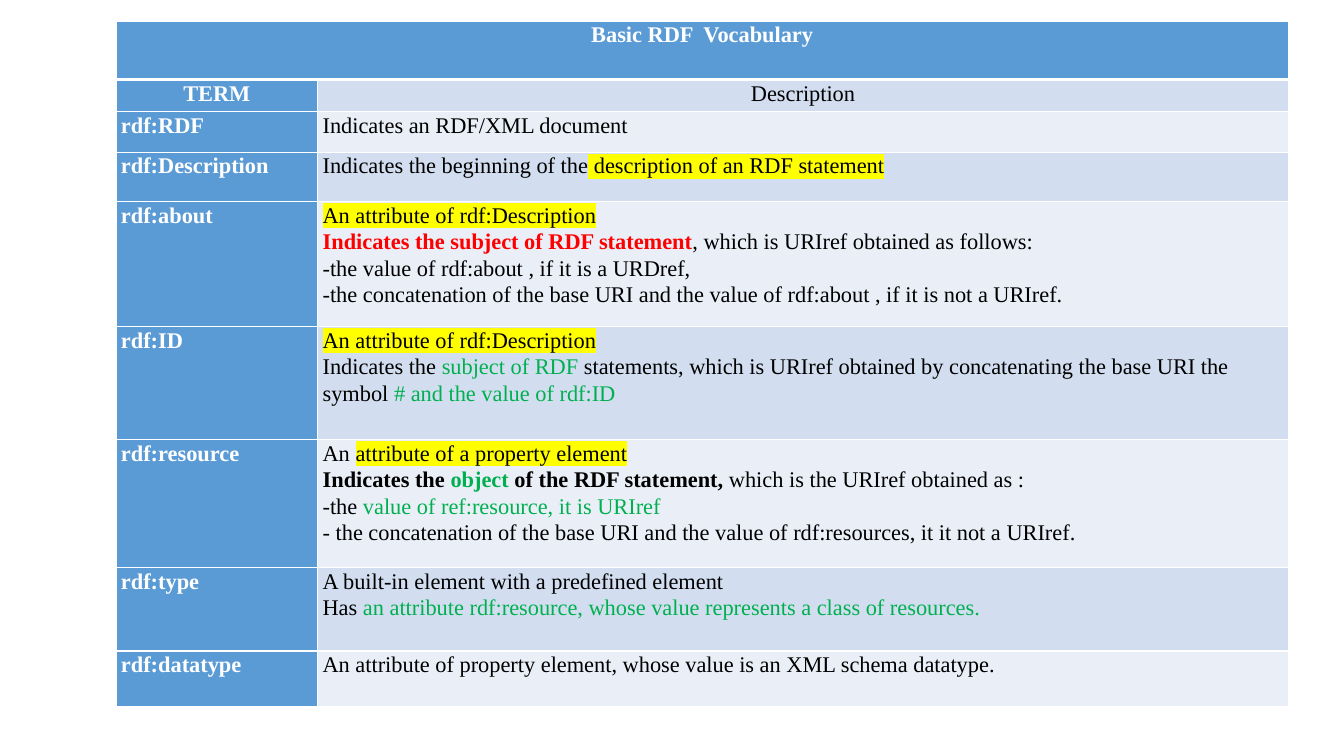
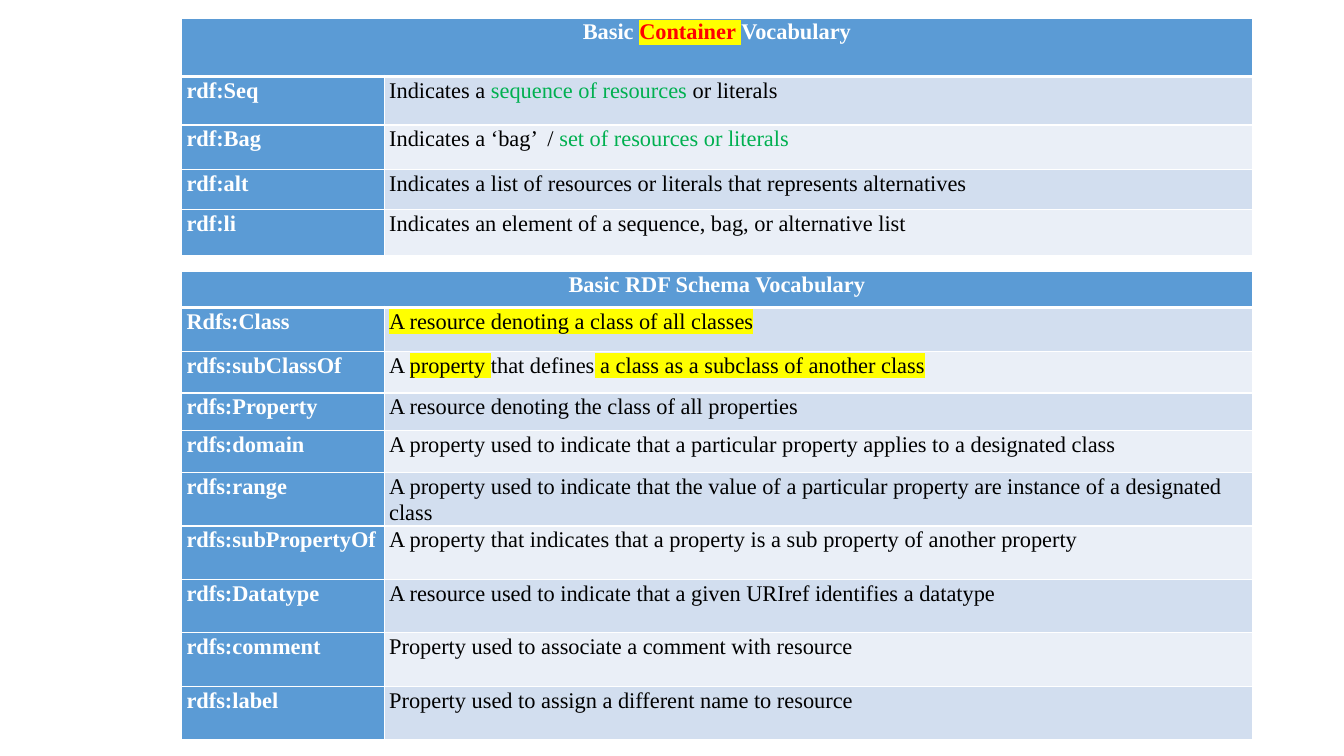
from lxml.etree import SubElement
from pptx import Presentation
from pptx.dml.color import RGBColor
from pptx.enum.text import PP_ALIGN
from pptx.oxml import parse_xml
from pptx.oxml.ns import qn, nsdecls
from pptx.util import Inches, Pt

COLORS = {
    "blue": "5B9BD5", "band": "D2DEEF", "pale": "EAEFF7", "white": "FFFFFF",
    "black": "000000", "red": "FF0000", "green": "00B050", "yellow": "FFFF00",
}
STYLES = {
    "head": ("white", True, None),
    "plain": ("black", False, None),
    "bold": ("black", True, None),
    "mark": ("black", False, "yellow"),
    "green": ("green", False, None),
    "bold green": ("green", True, None),
    "bold red": ("red", True, None),
    "red mark": ("red", True, "yellow"),
}
MARGINS = {"margin_left": Inches(0.05), "margin_right": Inches(0.05),
           "margin_top": 0, "margin_bottom": 0}

TABLES = [
    {
        "slide": 0, "left": 1.15, "top": 0.21, "cols": [2, 9.63], "centred": 2,
        "heights": [0.58, 0.32, 0.4, 0.49, 1.24, 1.12, 1.27, 0.83, 0.55],
        "title": "Basic RDF  Vocabulary",
        "rows": [
            ("TERM", ["Description"]),
            ("rdf:RDF", ["Indicates an RDF/XML document"]),
            ("rdf:Description", [
                [("Indicates the beginning of the", "plain"),
                 (" description of an RDF statement", "mark")]]),
            ("rdf:about", [
                [("An attribute of rdf:Description", "mark")],
                [("Indicates the subject of RDF statement", "bold red"),
                 (", which is URIref obtained as follows:", "plain")],
                "-the value of rdf:about , if it is a URDref,",
                "-the concatenation of the base URI and the value of rdf:about , if it is not a URIref."]),
            ("rdf:ID", [
                [("An attribute of rdf:Description", "mark")],
                [("Indicates the", "plain"), (" subject of RDF", "green"),
                 (" statements, which is URIref obtained by concatenating the base URI the symbol ", "plain"),
                 ("# and the value of rdf:ID", "green")]]),
            ("rdf:resource", [
                [("An ", "plain"), ("attribute of a property element", "mark")],
                [("Indicates the ", "bold"), ("object ", "bold green"),
                 ("of the RDF statement,", "bold"),
                 (" which is the URIref obtained as :", "plain")],
                [("-the ", "plain"), ("value of ref:resource, it is URIref", "green")],
                "- the concatenation of the base URI and the value of rdf:resources, it it not a URIref."]),
            ("rdf:type", [
                "A built-in element with a predefined element",
                [("Has ", "plain"),
                 ("an attribute rdf:resource, whose value represents a class of resources.", "green")]]),
            ("rdf:datatype", [
                "An attribute of property element, whose value is an XML schema datatype."]),
        ],
    },
    {
        "slide": 1, "left": 1.8, "top": 0.18, "cols": [2.01, 8.61], "centred": 1,
        "heights": [0.58, 0.48, 0.44, 0.4, 0.46],
        "title": [("Basic ", "head"), ("Container ", "red mark"), ("Vocabulary", "head")],
        "rows": [
            ("rdf:Seq", [
                [("Indicates a", "plain"), (" sequence of resources", "green"),
                 (" or literals", "plain")]]),
            ("rdf:Bag", [
                [("Indicates a ‘bag’  /", "plain"),
                 (" set of resources or literals", "green")]]),
            ("rdf:alt", ["Indicates a list of resources or literals that represents alternatives"]),
            ("rdf:li", ["Indicates an element of a sequence, bag, or alternative list"]),
        ],
    },
    {
        "slide": 1, "left": 1.8, "top": 2.69, "cols": [2.01, 8.61], "centred": 1,
        "heights": [0.36, 0.44, 0.41, 0.37, 0.42, 0.53, 0.53, 0.53, 0.53, 0.53],
        "title": "Basic RDF Schema Vocabulary",
        "rows": [
            ("Rdfs:Class", [[("A resource denoting a class of all classes", "mark")]]),
            ("rdfs:subClassOf", [
                [("A ", "plain"), ("property ", "mark"), ("that defines", "plain"),
                 (" a class as a subclass of another class", "mark")]]),
            ("rdfs:Property", ["A resource denoting the class of all properties"]),
            ("rdfs:domain", [
                "A property used to indicate that a particular property applies to a designated class"]),
            ("rdfs:range", [
                "A property used to indicate that the value of a particular property are instance of a designated class"]),
            ("rdfs:subPropertyOf", [
                "A property that indicates that a property is a sub property of another property"]),
            ("rdfs:Datatype", ["A resource used to indicate that a given URIref identifies a datatype"]),
            ("rdfs:comment", ["Property used to associate a comment with resource"]),
            ("rdfs:label", ["Property used to assign a different name to resource"]),
        ],
    },
]


def write(tf, paragraphs, base, align):
    for i, runs in enumerate(paragraphs):
        p = tf.add_paragraph() if i else tf.paragraphs[0]
        p.alignment, p.line_spacing = align, 1.07
        for text, style in [(runs, base)] if isinstance(runs, str) else runs:
            color, bold, highlight = STYLES[style]
            r = p.add_run()
            r.text = text
            for name, value in {"name": "Times New Roman", "size": Pt(16), "bold": bold}.items():
                setattr(r.font, name, value)
            r.font.color.rgb = RGBColor.from_string(COLORS[color])
            if highlight:
                mark = parse_xml(f'<a:highlight {nsdecls("a")}><a:srgbClr val="{COLORS[highlight]}"/></a:highlight>')
                r.font._element.find(qn("a:solidFill")).addnext(mark)


def dress(cell, fill, widths):
    for name, value in MARGINS.items():
        setattr(cell, name, value)
    tcPr = cell._tc.get_or_add_tcPr()
    for side, width in zip("LRTB", widths):
        ln = SubElement(tcPr, qn(f"a:ln{side}"), w=str(Pt(width)))
        SubElement(SubElement(ln, qn("a:solidFill")), qn("a:srgbClr"), val=COLORS["white"])
    cell.fill.solid()
    cell.fill.fore_color.rgb = RGBColor.from_string(COLORS[fill])


prs = Presentation()
prs.slide_width, prs.slide_height = Inches(13.33), Inches(7.5)
slides = [prs.slides.add_slide(prs.slide_layouts[6]) for _ in range(2)]

for spec_table in TABLES:
    cols, heights = spec_table["cols"], spec_table["heights"]
    table = slides[spec_table["slide"]].shapes.add_table(
        len(heights), len(cols), Inches(spec_table["left"]), Inches(spec_table["top"]),
        Inches(sum(cols)), Inches(sum(heights))).table
    table.first_col = True
    for column, width in zip(table.columns, cols):
        column.width = Inches(width)
    for row, height in zip(table.rows, heights):
        row.height = Inches(height)

    table.cell(0, 0).merge(table.cell(0, 1))
    for cell in table.rows[0].cells:
        dress(cell, "blue", (1, 1, 1, 3))
    write(table.cell(0, 0).text_frame, [spec_table["title"]], "head", PP_ALIGN.CENTER)

    for n, (term, description) in enumerate(spec_table["rows"], 1):
        align = PP_ALIGN.CENTER if n < spec_table["centred"] else PP_ALIGN.LEFT
        widths = (1, 1, 3 if n == 1 else 1, 1)
        band = "band" if n % 2 else "pale"
        for cell, fill, text, base in zip(
                table.rows[n].cells, ("blue", band), ([term], description), ("head", "plain")):
            dress(cell, fill, widths)
            write(cell.text_frame, text, base, align)

prs.save("out.pptx")
